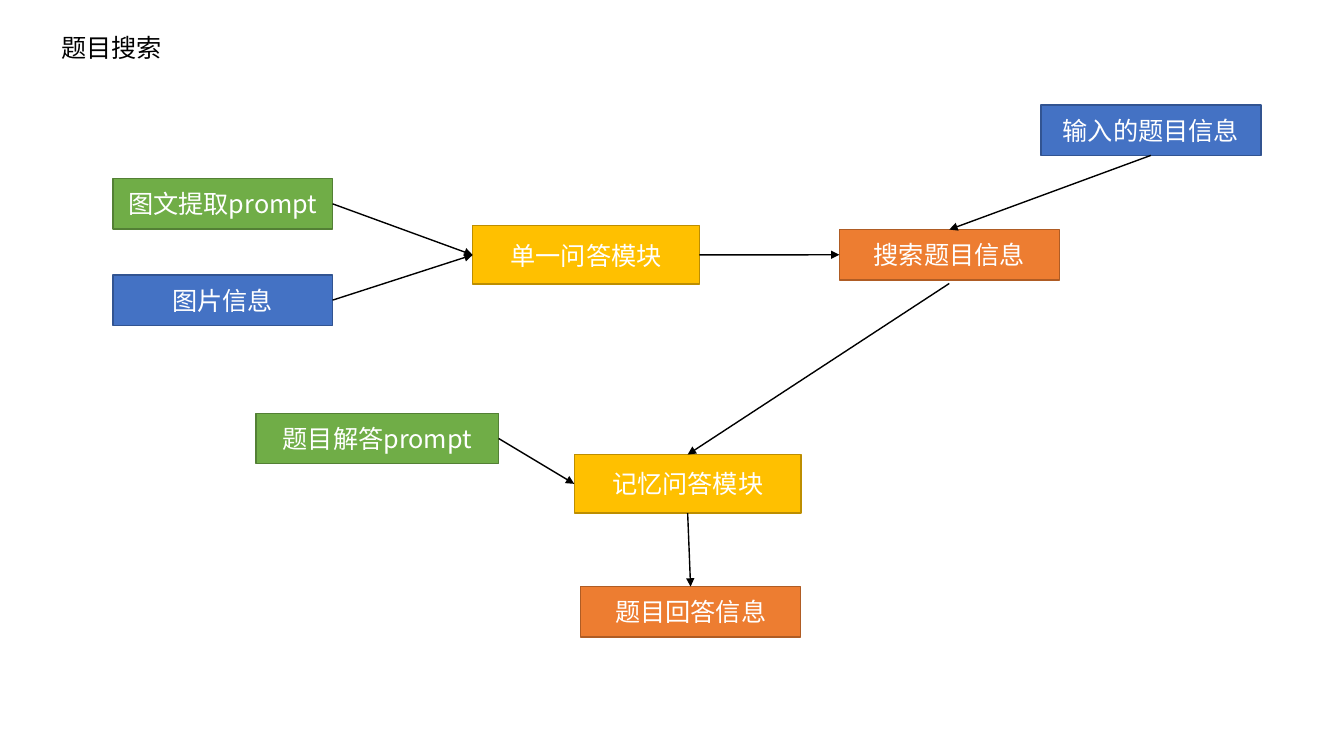
import pptx
import pptx.dml.color
import pptx.enum.shapes
import pptx.enum.text
import pptx.oxml
import pptx.oxml.ns
import pptx.util

Pt = pptx.util.Pt
FONT = "Noto Sans CJK SC"
GREEN, BLUE = ("70AD47", "538035"), ("4472C4", "325491")
GOLD, ORANGE = ("FFC000", "BD8E00"), ("ED7D31", "AF5C24")
SMALL, MODULE, WIDE = (157, 36), (162, 41.8), (173.4, 36)
TOP, LEFT, BOTTOM, RIGHT = range(4)

STEPS = {
    "图文提取prompt": (80.6, 127.6, SMALL, GREEN),
    "图片信息": (80.6, 196.4, SMALL, BLUE),
    "单一问答模块": (337.6, 161.2, MODULE, GOLD),
    "搜索题目信息": (599.6, 164, SMALL, ORANGE),
    "记忆问答模块": (410.2, 324.7, MODULE, GOLD),
    "输入的题目信息": (743.6, 75, SMALL, BLUE),
    "题目解答prompt": (182.8, 295.2, WIDE, GREEN),
    "题目回答信息": (414.8, 419, SMALL, ORANGE),
}
FLOWS = [
    ("图文提取prompt", RIGHT, "单一问答模块", LEFT, 0),
    ("图片信息", RIGHT, "单一问答模块", LEFT, 0),
    ("单一问答模块", RIGHT, "搜索题目信息", LEFT, 0),
    ("搜索题目信息", BOTTOM, "记忆问答模块", TOP, 2.5),
    ("输入的题目信息", BOTTOM, "搜索题目信息", TOP, 0),
    ("题目解答prompt", RIGHT, "记忆问答模块", LEFT, 0),
    ("记忆问答模块", BOTTOM, "题目回答信息", TOP, 0),
]


def color(value):
    """Turn a hex string into a colour."""
    return pptx.dml.color.RGBColor.from_string(value)


def write(frame, text, size=18, fill="000000", align="LEFT", anchor="TOP"):
    """Write one formatted paragraph into a text frame."""
    frame.vertical_anchor = getattr(pptx.enum.text.MSO_ANCHOR, anchor)
    paragraph = frame.paragraphs[0]
    paragraph.alignment = getattr(pptx.enum.text.PP_ALIGN, align)
    run = paragraph.add_run()
    run.text = text
    run.font.size = Pt(size)
    run.font.name = FONT
    run.font.color.rgb = color(fill)
    east_asian = pptx.oxml.parse_xml(
        f'<a:ea {pptx.oxml.ns.nsdecls("a")} typeface="{FONT}"/>')
    run.font._element.append(east_asian)


def add_heading(slide, text, left, top, width, height):
    """Place the slide heading."""
    heading = slide.shapes.add_textbox(Pt(left), Pt(top), Pt(width), Pt(height))
    heading.text_frame.word_wrap = False
    write(heading.text_frame, text)


def add_step(slide, text, left, top, size, colors):
    """Place one step of the flow and return it."""
    step = slide.shapes.add_shape(
        pptx.enum.shapes.MSO_SHAPE.RECTANGLE,
        Pt(left), Pt(top), Pt(size[0]), Pt(size[1]))
    fill, outline = colors
    step.shadow.inherit = False
    step.fill.solid()
    step.fill.fore_color.rgb = color(fill)
    step.line.color.rgb = color(outline)
    step.line.width = Pt(1)
    step.text_frame.word_wrap = True
    write(step.text_frame, text, fill="FFFFFF", align="CENTER", anchor="MIDDLE")
    return step


def add_flow(slide, source, source_side, target, target_side, gap):
    """Draw an arrow between two steps, starting the given gap below its source."""
    arrow = slide.shapes.add_connector(
        pptx.enum.shapes.MSO_CONNECTOR.STRAIGHT, 0, 0, 0, 0)
    arrow.end_connect(target, target_side)
    if gap:
        arrow.begin_x = source.left + source.width // 2
        arrow.begin_y = source.top + source.height + Pt(gap)
    else:
        arrow.begin_connect(source, source_side)
    arrow.line.color.rgb = color("000000")
    arrow.line.width = Pt(1)
    namespace = pptx.oxml.ns.nsdecls("a")
    arrow.line._get_or_add_ln().append(
        pptx.oxml.parse_xml(f'<a:tailEnd {namespace} type="triangle"/>'))
    arrow._element.spPr.append(pptx.oxml.parse_xml(f"<a:effectLst {namespace}/>"))


def add_flowchart(slide, left, top):
    """Draw the steps and their arrows from the given corner."""
    steps = {text: add_step(slide, text, left + x, top + y, size, colors)
             for text, (x, y, size, colors) in STEPS.items()}
    for source, source_side, target, target_side, gap in FLOWS:
        add_flow(slide, steps[source], source_side, steps[target], target_side, gap)


def main():
    """Build and save the presentation."""
    deck = pptx.Presentation()
    deck.slide_width, deck.slide_height = Pt(960), Pt(540)
    slide = deck.slides.add_slide(deck.slide_layouts[6])
    add_heading(slide, "题目搜索", 36.7, 19.4, 87.8, 28.8)
    add_flowchart(slide, 0, 0)
    deck.save("out.pptx")


if __name__ == "__main__":
    main()
